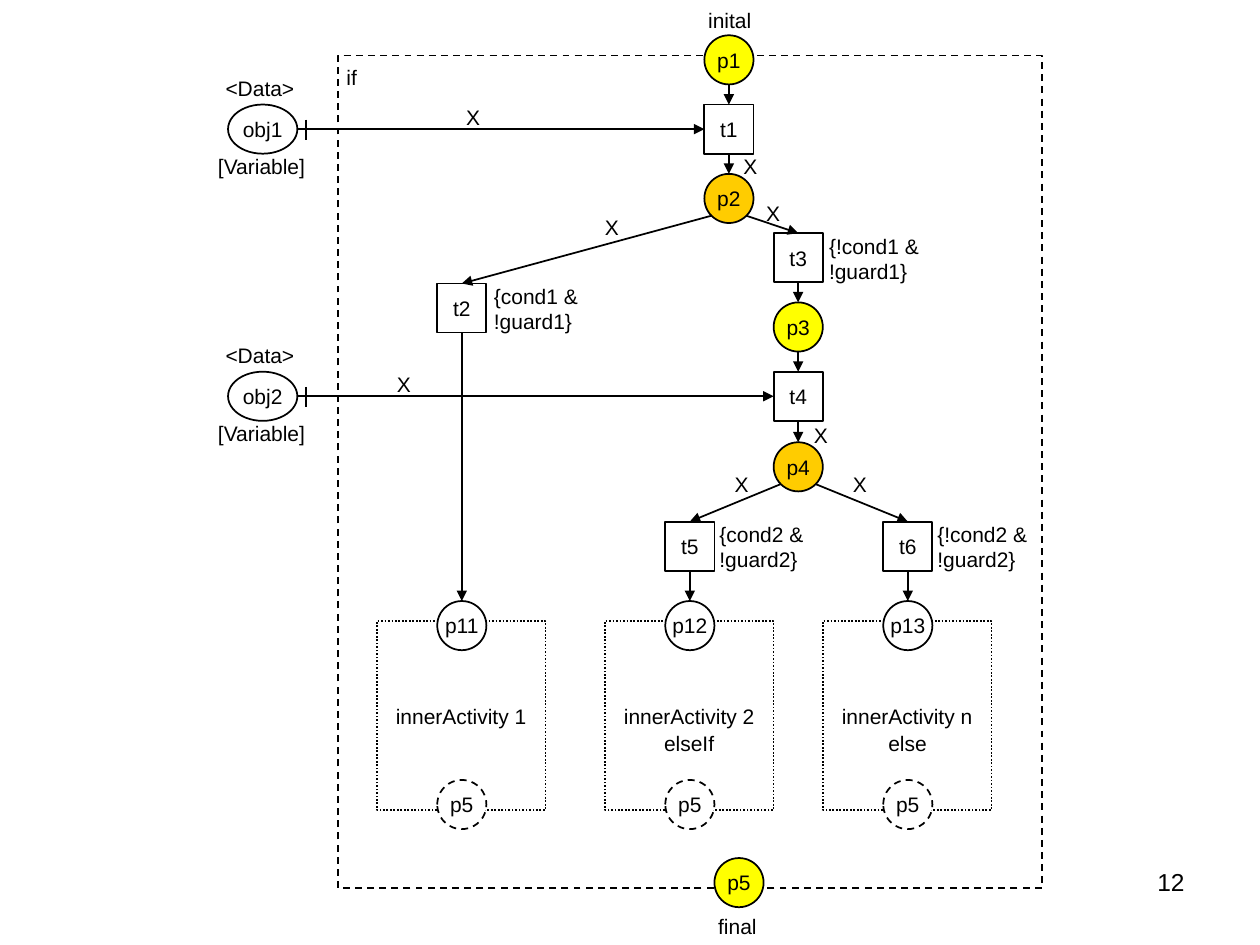
from lxml.etree import SubElement
from pptx import Presentation
from pptx.dml.color import RGBColor
from pptx.enum.dml import MSO_LINE
from pptx.enum.shapes import MSO_CONNECTOR, MSO_SHAPE
from pptx.enum.text import MSO_ANCHOR, MSO_AUTO_SIZE, PP_ALIGN
from pptx.oxml.ns import qn
from pptx.util import Inches, Pt

RECT, OVAL = MSO_SHAPE.RECTANGLE, MSO_SHAPE.OVAL
BLACK, WHITE, YELLOW, AMBER = "000000", "FFFFFF", "FFFF00", "FFCC00"
SIZE = 0.39
SLACK = 0.05
SITES = ["top", "left", "bottom", "right"]
SPOTS = {"top": (0.5, 0), "left": (0, 0.5), "bottom": (0.5, 1), "right": (1, 0.5),
         "low left": (0.15, 0.85), "low right": (0.85, 0.85)}
FONT = {"name": "Arial", "size": Pt(12), "bold": False}
TIGHT = {"margin_left": 0, "margin_top": 0, "margin_right": 0, "margin_bottom": 0,
         "word_wrap": False, "auto_size": MSO_AUTO_SIZE.NONE}
MIDDLE = {"word_wrap": False, "vertical_anchor": MSO_ANCHOR.MIDDLE}
LOOSE = {"word_wrap": True}


def style(item, values):
    """Set each attribute of item from a dict."""
    for name, value in values.items():
        setattr(item, name, value)


def paint(color, value):
    """Give a colour format its hex value."""
    color.rgb = RGBColor.from_string(value)


def write(shape, text, frame, align=PP_ALIGN.LEFT, font=FONT):
    """Put one formatted paragraph in a shape."""
    style(shape.text_frame, frame)
    para = shape.text_frame.paragraphs[0]
    para.text = text
    para.alignment = align
    style(para.font, font)
    paint(para.font.color, BLACK)


def box(slide, kind, area, text="", fill=WHITE, dash=None):
    """Add an outlined shape with centred text."""
    shape = slide.shapes.add_shape(kind, *map(Inches, area))
    shape.shadow.inherit = False
    if fill:
        shape.fill.solid()
        paint(shape.fill.fore_color, fill)
    else:
        shape.fill.background()
    style(shape.line, {"width": Pt(1), "dash_style": dash})
    paint(shape.line.color, BLACK)
    if text:
        write(shape, text, MIDDLE, PP_ALIGN.CENTER)
    return shape


def node(slide, kind, x, y, text, fill=WHITE, dash=None):
    """Add a place or a transition of the common size."""
    return box(slide, kind, (x, y, SIZE, SIZE), text, fill, dash)


def label(slide, text, x, y, wide, high=0.2):
    """Add a tight text box with a little room at its right."""
    area = map(Inches, (x, y, wide + SLACK, high))
    write(slide.shapes.add_textbox(*area), text, TIGHT)


def line(slide, *ends):
    """Add a plain black line between two points."""
    wire = slide.shapes.add_connector(MSO_CONNECTOR.STRAIGHT, *ends)
    wire.line.width = Pt(1)
    paint(wire.line.color, BLACK)
    SubElement(wire._element.spPr, qn("a:effectLst"))
    return wire


def spot(shape, side):
    """Find the point of a shape that a side names."""
    across, down = SPOTS[side]
    return shape.left + int(shape.width * across), shape.top + int(shape.height * down)


def link(slide, start, out, end, into):
    """Draw an arrow between two shapes and join it to rectangles."""
    wire = line(slide, *spot(start, out), *spot(end, into))
    SubElement(wire.line._get_or_add_ln(), qn("a:tailEnd"), type="triangle")
    for shape, side, join in ((start, out, wire.begin_connect), (end, into, wire.end_connect)):
        if shape.auto_shape_type == RECT:
            join(shape, SITES.index(side))


def branch(slide, x, place, text):
    """Add an inner activity with its first and last places."""
    box(slide, RECT, (x - 0.48, 4.93, 1.34, 1.5), text, dash=MSO_LINE.ROUND_DOT)
    first = node(slide, OVAL, x, 4.77, place)
    node(slide, OVAL, x, 6.19, "p5", dash=MSO_LINE.DASH)
    return first


def source(slide, y, text, goal):
    """Add a data object that feeds a transition."""
    item = box(slide, OVAL, (1.81, y, 0.55, SIZE), text)
    line(slide, *map(Inches, (2.43, y + 0.12, 2.43, y + 0.28)))
    label(slide, "<Data>", 1.79, y - 0.23, 0.55)
    label(slide, "[Variable]", 1.73, y + SIZE, 0.7)
    link(slide, item, "right", goal, "left")


def main():
    """Build the slide."""
    deck = Presentation()
    style(deck, {"slide_width": Inches(10), "slide_height": Inches(7.5)})
    slide = deck.slides.add_slide(deck.slide_layouts[6])

    box(slide, RECT, (2.68, 0.44, 5.59, 6.61), fill=None, dash=MSO_LINE.DASH)
    node(slide, OVAL, 5.67, 6.81, "p5", YELLOW)
    cols = (3.47, 5.28, 7.01)
    names = ("innerActivity 1", "innerActivity 2", "innerActivity n")
    p11, p12, p13 = [branch(slide, x, f"p1{i}", name)
                     for i, (x, name) in enumerate(zip(cols, names), 1)]

    p1, p2, p3, p4 = [node(slide, OVAL, x, y, name, fill) for name, x, y, fill in (
        ("p1", 5.59, 0.28, YELLOW), ("p2", 5.59, 1.38, AMBER),
        ("p3", 6.14, 2.4, YELLOW), ("p4", 6.14, 3.51, AMBER))]
    t1, t2, t3, t4, t5, t6 = [node(slide, RECT, x, y, f"t{i}") for i, (x, y) in enumerate((
        (5.59, 0.83), (cols[0], 2.25), (6.14, 1.85),
        (6.14, 2.95), (cols[1], 4.14), (cols[2], 4.14)), 1)]

    for start, end in ((p1, t1), (t1, p2), (t3, p3), (p3, t4), (t4, p4),
                       (t2, p11), (t5, p12), (t6, p13)):
        link(slide, start, "bottom", end, "top")
    for place, left, right in ((p2, t2, t3), (p4, t5, t6)):
        link(slide, place, "low left", left, "top")
        link(slide, place, "low right", right, "top")
    source(slide, 0.83, "obj1", t1)
    source(slide, 2.95, "obj2", t4)

    for x, y in ((3.7, 0.83), (5.9, 1.22), (4.8, 1.7), (6.08, 1.59),
                 (3.15, 2.95), (6.46, 3.35), (6.77, 3.74), (5.83, 3.74)):
        label(slide, "X", x, y, 0.11)
    for text, x, y, wide in (("{cond1 &\v!guard1}", 3.92, 2.25, 0.67),
                             ("{!cond1 &\v!guard1}", 6.58, 1.85, 0.71),
                             ("{cond2 &\v!guard2}", 5.71, 4.14, 0.67),
                             ("{!cond2 &\v!guard2}", 7.44, 4.14, 0.71)):
        label(slide, text, x, y, wide, 0.4)
    for text, x, y, wide in (("inital", 5.62, 0.06, 0.34), ("final", 5.7, 7.25, 0.31),
                             ("if", 2.75, 0.51, 0.08), ("else", 7.05, 5.8, 0.31),
                             ("elseIf", 5.27, 5.8, 0.4)):
        label(slide, text, x, y, wide)

    page = slide.shapes.add_textbox(*map(Inches, (7.17, 6.83, 2.33, 0.52)))
    write(page, "12", LOOSE, PP_ALIGN.RIGHT, {**FONT, "size": Pt(14)})
    deck.save("out.pptx")


if __name__ == "__main__":
    main()
